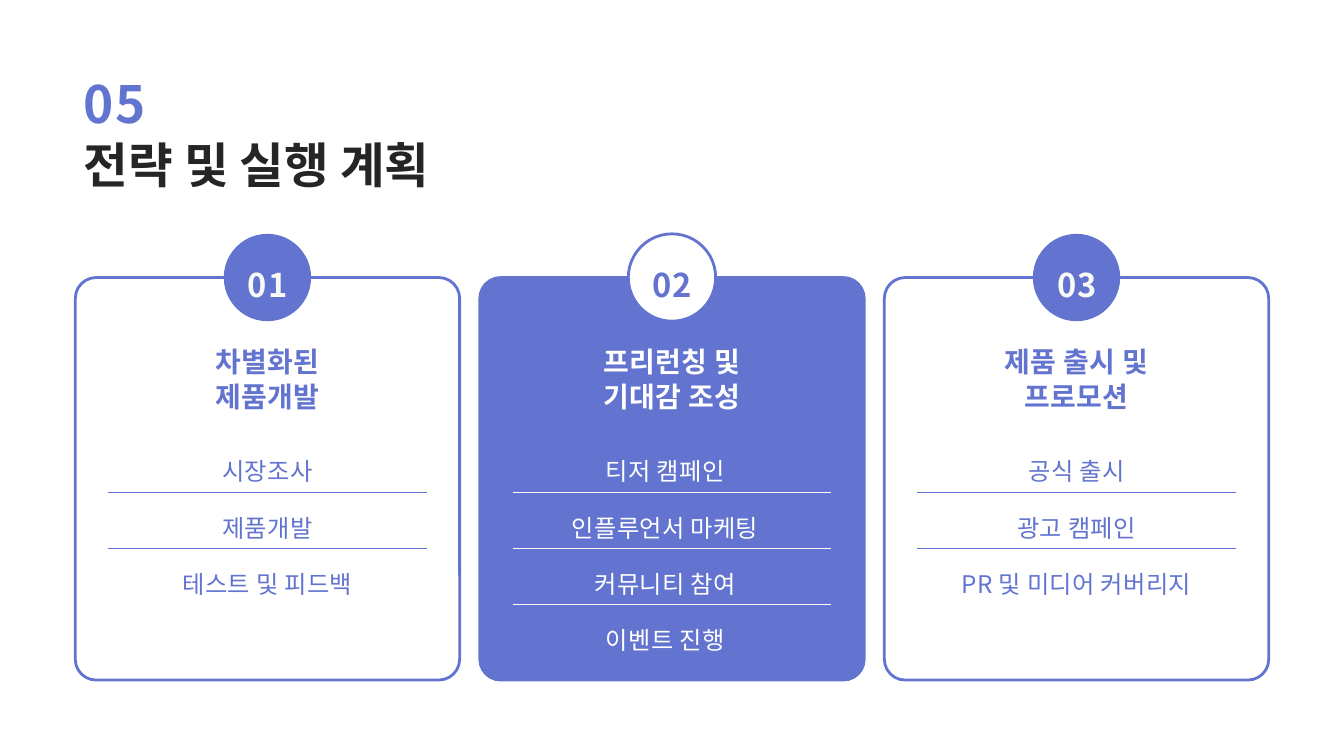
from dataclasses import dataclass

from lxml.etree import SubElement
from pptx import Presentation
from pptx.dml.color import RGBColor
from pptx.enum.shapes import MSO_CONNECTOR, MSO_SHAPE
from pptx.enum.text import PP_ALIGN
from pptx.oxml.ns import qn
from pptx.util import Inches, Pt


@dataclass(frozen=True)
class Theme:
    font: str = "Noto Sans CJK KR"
    blue: str = "6274CF"
    white: str = "FFFFFF"
    cream: str = "F9FAF5"
    ink: str = "252525"
    index: int = 55
    title: int = 52
    badge: int = 35
    head: int = 30
    item: int = 26
    edge: float = 3
    rule: float = 0.75


@dataclass(frozen=True)
class Card:
    num: str
    head: tuple
    items: tuple
    solid: bool = False
    shift: float = 0


THEME = Theme()
CARDS = (
    Card("01", ("차별화된", "제품개발"),
         ("시장조사", "제품개발", "테스트 및 피드백")),
    Card("02", ("프리런칭 및", "기대감 조성"),
         ("티저 캠페인", "인플루언서 마케팅", "커뮤니티 참여", "이벤트 진행"),
         solid=True, shift=-0.1),
    Card("03", ("제품 출시 및", "프로모션"),
         ("공식 출시", "광고 캠페인", "PR 및 미디어 커버리지")),
)
FIRST, STEP = 3.98, 6.02
WIDE, HIGH, TOP = 5.72, 5.99, 4.13
RADIUS = 0.31
DISC = 1.3
RULE_W, RULE_TOP, ROW = 4.74, 7.32, 0.84


def rgb(code):
    return RGBColor.from_string(code)


def add_text(slide, box, lines, size, color, lead, track=0, bold=True,
             align=PP_ALIGN.CENTER):
    frame = slide.shapes.add_textbox(*map(Inches, box)).text_frame
    frame.word_wrap = True
    frame.margin_left = frame.margin_right = 0
    frame.margin_top = frame.margin_bottom = 0
    for i, line in enumerate(lines):
        para = frame.add_paragraph() if i else frame.paragraphs[0]
        para.alignment = align
        para.line_spacing = Pt(lead)
        run = para.add_run()
        run.text = line
        font = run.font
        font.name, font.size, font.bold = THEME.font, Pt(size), bold
        font.color.rgb = rgb(color)
        props = run._r.get_or_add_rPr()
        props.set("spc", str(round(track * 100)))
        SubElement(props, qn("a:ea")).set("typeface", THEME.font)


def add_form(slide, kind, box, fill=None, edge=None):
    shape = slide.shapes.add_shape(kind, *map(Inches, box))
    shape.shadow.inherit = False
    if fill:
        shape.fill.solid()
        shape.fill.fore_color.rgb = rgb(fill)
    else:
        shape.fill.background()
    if edge:
        shape.line.color.rgb = rgb(edge)
        shape.line.width = Pt(THEME.edge)
    else:
        shape.line.fill.background()
    return shape


def add_rule(slide, left, top, color):
    ends = map(Inches, (left, top, left + RULE_W, top))
    rule = slide.shapes.add_connector(MSO_CONNECTOR.STRAIGHT, *ends)
    rule.line.color.rgb = rgb(color)
    rule.line.width = Pt(THEME.rule)
    SubElement(rule._element.spPr, qn("a:effectLst"))


def add_card(slide, card, mid):
    blue, white = THEME.blue, THEME.white
    ink = white if card.solid else blue
    panel = add_form(slide, MSO_SHAPE.ROUNDED_RECTANGLE,
                     (mid - WIDE / 2, TOP, WIDE, HIGH),
                     blue if card.solid else None, blue)
    panel.adjustments[0] = RADIUS / WIDE
    add_form(slide, MSO_SHAPE.OVAL,
             (mid - DISC / 2, TOP - DISC / 2, DISC, DISC),
             white if card.solid else blue, blue if card.solid else None)
    add_text(slide, (mid - 0.43, 3.55, 0.87, 0.87), [card.num], THEME.badge,
             blue if card.solid else THEME.cream, 70, 1.1)
    add_text(slide, (mid - 1.82, 5.1, 3.64, 1.03), card.head, THEME.head,
             ink, 37.5, 0.3)
    add_text(slide, (mid - 2.36 + card.shift, 6.39, 4.72, ROW * len(card.items)),
             card.items, THEME.item, ink, 60.3, 0.3, bold=False)
    for row in range(len(card.items) - 1):
        add_rule(slide, mid - RULE_W / 2, RULE_TOP + row * ROW, ink)


def main():
    deck = Presentation()
    deck.slide_width, deck.slide_height = Inches(20), Inches(11.25)
    slide = deck.slides.add_slide(deck.slide_layouts[6])
    add_text(slide, (1.25, 0.46, 1.53, 1.37), ["05"], THEME.index,
             THEME.blue, 110, 1.3, align=PP_ALIGN.LEFT)
    add_text(slide, (1.25, 1.43, 5.8, 1.3), ["전략 및 실행 계획"], THEME.title,
             THEME.ink, 104, align=PP_ALIGN.LEFT)
    for i, card in enumerate(CARDS):
        add_card(slide, card, FIRST + i * STEP)
    deck.save("out.pptx")


if __name__ == "__main__":
    main()
